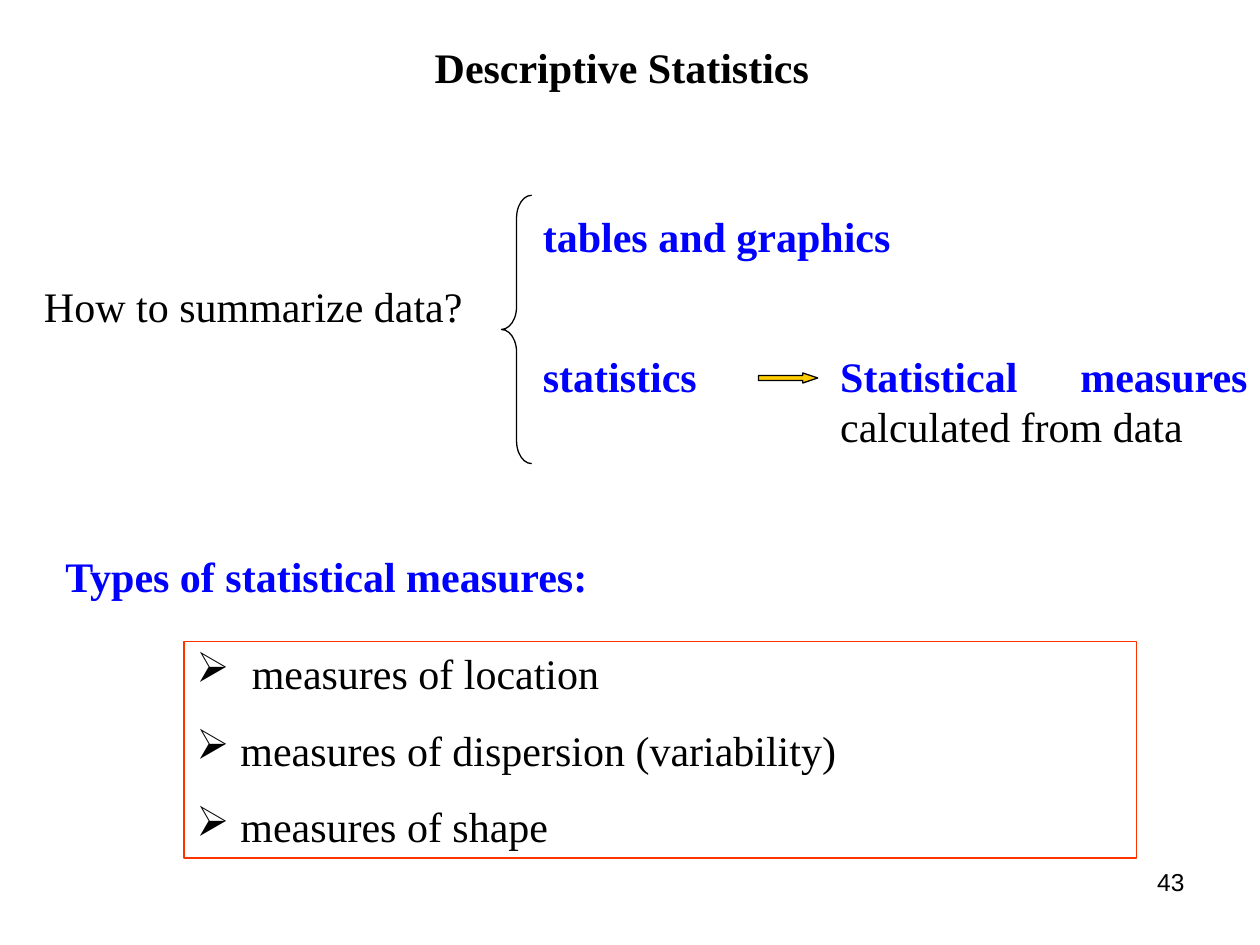
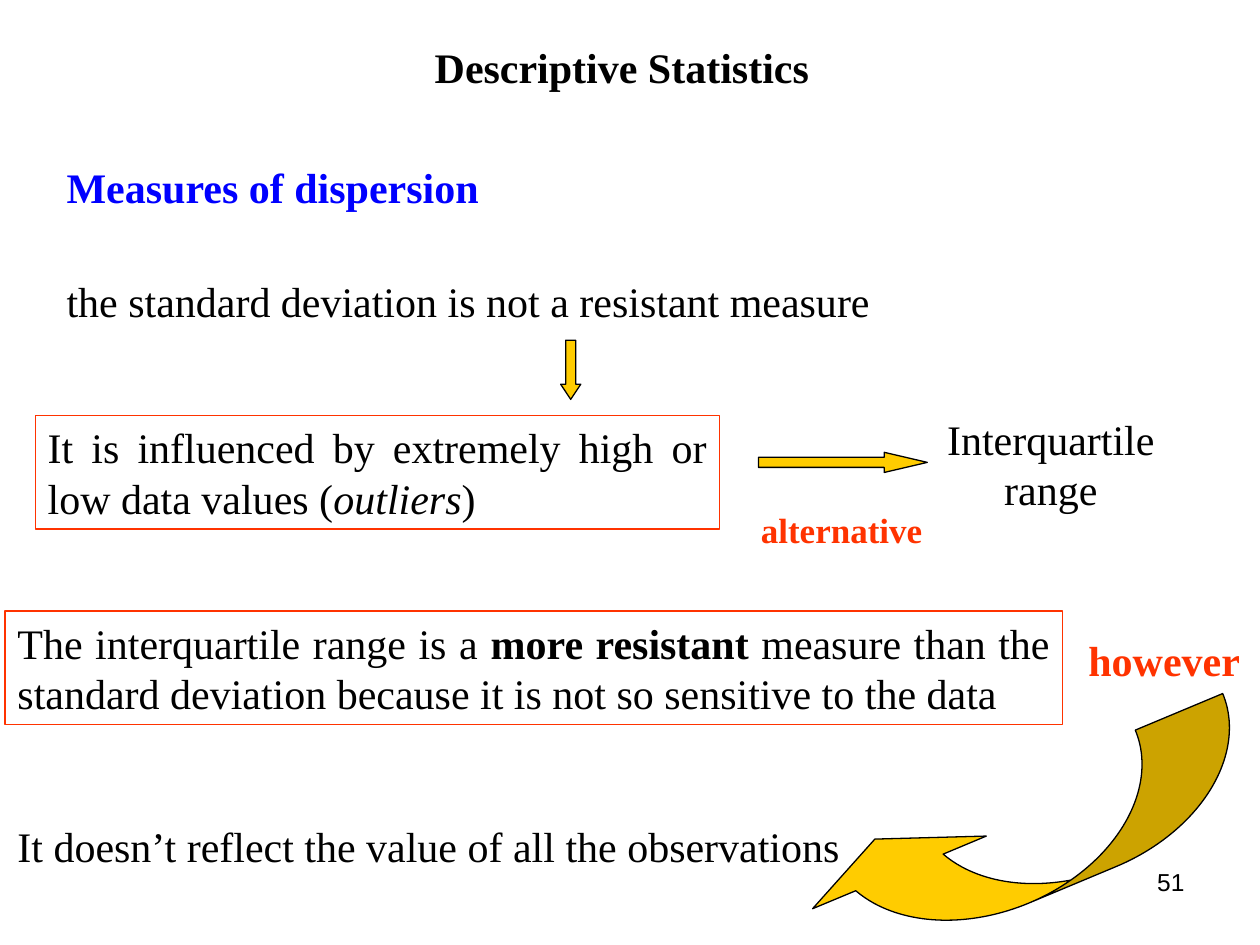
import pptx
import pptx.dml.color
import pptx.enum.shapes
import pptx.enum.text
import pptx.oxml
import pptx.oxml.ns
import pptx.util

Inches = pptx.util.Inches
Pt = pptx.util.Pt
Color = pptx.dml.color.RGBColor
Kind = pptx.enum.shapes.MSO_SHAPE
Align = pptx.enum.text.PP_ALIGN

BLACK = Color(0x00, 0x00, 0x00)
BLUE = Color(0x00, 0x00, 0xFF)
RED = Color(0xFF, 0x33, 0x00)
GOLD = Color(0xFF, 0xCC, 0x00)
SERIF = "Times New Roman"


def write(box, lines, color=BLACK, bold=False, align=Align.LEFT, size=24, face=SERIF):
    """Fill box with lines; each line is a string or a list of (text, font settings)."""
    frame = box.text_frame
    frame.word_wrap = True
    frame.auto_size = pptx.enum.text.MSO_AUTO_SIZE.NONE
    frame.vertical_anchor = pptx.enum.text.MSO_ANCHOR.TOP
    for index, line in enumerate(lines):
        para = frame.paragraphs[0] if index == 0 else frame.add_paragraph()
        para.alignment = align
        if index:
            para.space_before = Pt(15)
        font = para.font
        font.name, font.size, font.bold = face, Pt(size), bold
        font.color.rgb = color
        parts = [(line, {})] if isinstance(line, str) else line
        for text, looks in parts:
            run = para.add_run()
            run.text = text
            if "color" in looks:
                run.font.color.rgb = looks["color"]
            run.font.bold = looks.get("bold")
            run.font.italic = looks.get("italic")


def draw(slide, kind, place, adjust, fill=None):
    shape = slide.shapes.add_shape(kind, *map(Inches, place))
    shape.shadow.inherit = False
    for index, value in enumerate(adjust):
        shape.adjustments[index] = value
    if fill is None:
        shape.fill.background()
    else:
        shape.fill.solid()
        shape.fill.fore_color.rgb = fill
    shape.line.color.rgb = BLACK
    shape.line.width = Pt(0.75)
    return shape


deck = pptx.Presentation()
deck.slide_width, deck.slide_height = Inches(10), Inches(7.5)

# Title and page number on both slides
slides = []
for page in ("43", "51"):
    slide = deck.slides.add_slide(deck.slide_layouts[5])
    title = slide.shapes.title
    title.left, title.top = Inches(3.35), Inches(0.28)
    title.width, title.height = Inches(3.62), Inches(0.5)
    write(title, ["Descriptive Statistics"], bold=True)
    number = slide.shapes.add_textbox(*map(Inches, (7.17, 6.83, 2.33, 0.52)))
    write(number, [page], align=Align.RIGHT, size=14, face="Arial")
    slides.append(slide)
summary, spread = slides

# Plain and coloured texts: slide, place, line, settings
strong = {"color": BLUE, "bold": True}
alert = {"color": RED, "bold": True}
center = {"align": Align.CENTER}
texts = [
    (summary, (0, 2.18, 4.02, 0.5), "How to summarize data?", center),
    (summary, (4.21, 1.62, 3.31, 0.5), "tables and graphics", strong),
    (summary, (4.21, 2.73, 1.89, 0.5), "statistics", strong),
    (summary, (6.57, 2.73, 3.43, 0.9),
     [("Statistical measures", {"color": BLUE, "bold": True}),
      (" calculated from data", {})], {"align": Align.JUSTIFY}),
    (summary, (0.42, 4.32, 4.6, 0.5), "Types of statistical measures:", strong),
    (spread, (0.43, 1.23, 3.78, 0.5), "Measures of dispersion", strong),
    (spread, (0.43, 2.14, 9.06, 0.5),
     "the standard deviation is not a resistant measure", {}),
    (spread, (5.94, 3.99, 1.65, 0.44), "alternative", {**alert, "size": 20}),
    (spread, (7.2, 3.23, 2.28, 0.9), "Interquartile range", center),
    (spread, (8.54, 4.99, 1.46, 0.5), "however", alert),
    (spread, (0.04, 6.46, 6.93, 0.5),
     "It doesn’t reflect the value of all the observations", {}),
]
for slide, place, line, looks in texts:
    write(slide.shapes.add_textbox(*map(Inches, place)), [line], **looks)

# Red framed texts
types = ["measures of location", "measures of dispersion (variability)", "measures of shape"]
frames = [
    (summary, (1.46, 5.09, 7.56, 1.72), types, Align.LEFT),
    (spread, (0.28, 3.3, 5.43, 0.9),
     [[("It is influenced by extremely high or low data values (", {}),
       ("outliers", {"italic": True}), (")", {})]], Align.JUSTIFY),
    (spread, (0.04, 4.85, 8.39, 0.9),
     [[("The interquartile range is a ", {}), ("more resistant ", {"bold": True}),
       ("measure than the standard deviation because it is not so sensitive to the data", {})]],
     Align.JUSTIFY),
]
for slide, place, lines, align in frames:
    box = slide.shapes.add_textbox(*map(Inches, place))
    box.line.color.rgb = RED
    box.line.width = Pt(0.75)
    if lines is types:
        # Bullets go in before the fonts
        paras = [box.text_frame.paragraphs[0]]
    write(box, lines, align=align)
    if lines is types:
        for para, indent in zip(box.text_frame.paragraphs, (0.44, 0.35, 0.35)):
            props = para._p.get_or_add_pPr()
            props.set("marL", str(Inches(indent)))
            props.set("indent", str(-Inches(indent)))
            bullet = pptx.oxml.parse_xml(
                f'<a:buChar {pptx.oxml.ns.nsdecls("a")} char="➢"/>')
            props.find(pptx.oxml.ns.qn("a:defRPr")).addprevious(bullet)

# Brace and arrows
draw(summary, Kind.LEFT_BRACE, (3.98, 1.55, 0.24, 2.13), (0.75, 0.5))
draw(summary, Kind.RIGHT_ARROW, (6.02, 2.96, 0.47, 0.08), (0.5, 1.48), GOLD)
draw(spread, Kind.DOWN_ARROW, (4.45, 2.7, 0.16, 0.47), (0.5, 0.75), GOLD)
draw(spread, Kind.RIGHT_ARROW, (6.02, 3.59, 1.34, 0.16), (0.5, 2.14), GOLD)
swoop = draw(spread, Kind.CURVED_LEFT_ARROW, (7.69, 4.79, 0.94, 3.74), (0.8, 1.59, 0.34), GOLD)
swoop.rotation = 67.3

deck.save("out.pptx")
